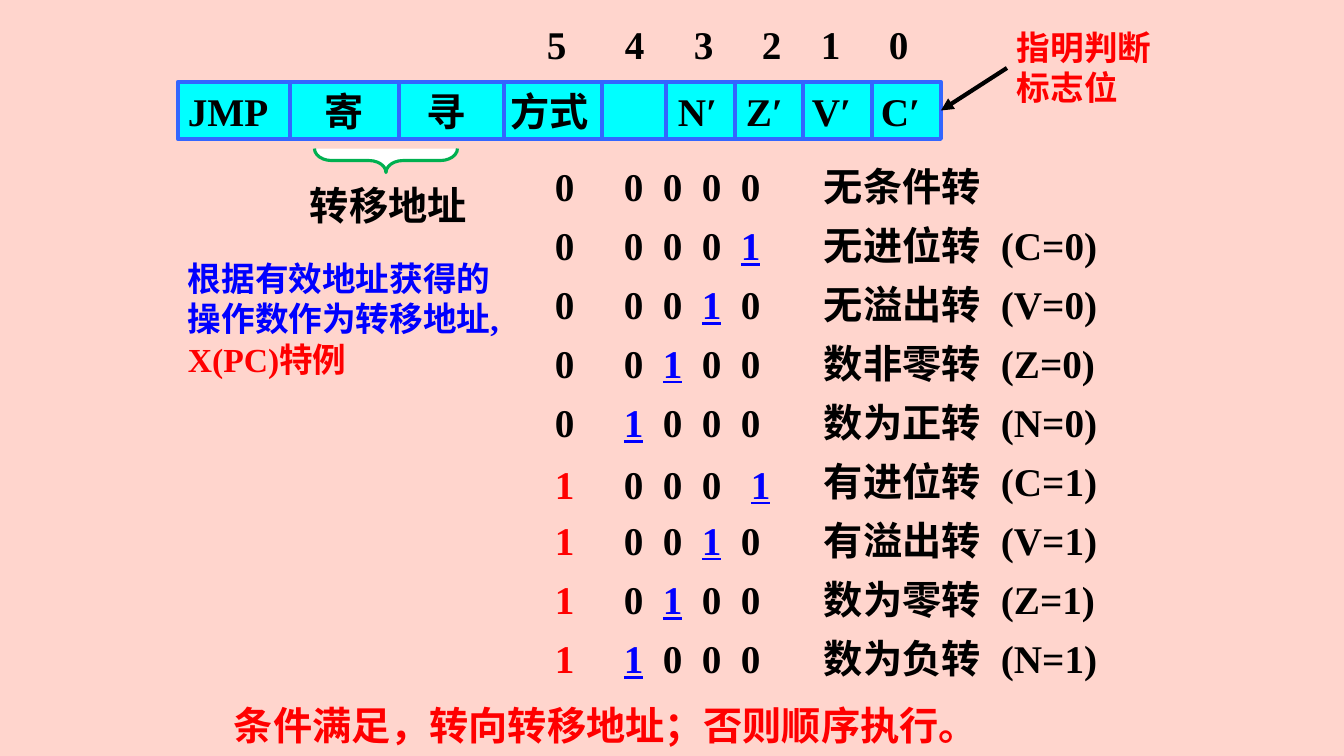
"""Build the JMP instruction format slide with its condition table."""
from dataclasses import dataclass

from lxml.etree import SubElement
from pptx import Presentation
from pptx.dml.color import RGBColor
from pptx.enum.shapes import MSO_CONNECTOR, MSO_SHAPE
from pptx.enum.text import MSO_ANCHOR, PP_ALIGN
from pptx.oxml.ns import qn
from pptx.util import Pt

BIT_NUMBERS = ["5", "4", "3", "2", "1", "0"]
BIT_NUMBER_TABS = [78, 147, 215, 274, 342]
FIELDS = ["JMP", "寄", "寻", "方式", "N′", "Z′", "V′", "C′"]
FIELD_TABS = [137, 239, 323, 490, 558, 624, 693]
DIVIDERS = [290, 399, 504, 602, 666, 735, 803, 872]
CONDITIONS = [
    ("00000", "无条件转", ""),
    ("00001", "无进位转", "(C=0)"),
    ("00010", "无溢出转", "(V=0)"),
    ("00100", "数非零转", "(Z=0)"),
    ("01000", "数为正转", "(N=0)"),
    ("10001", "有进位转", "(C=1)"),
    ("10010", "有溢出转", "(V=1)"),
    ("10100", "数为零转", "(Z=1)"),
    ("11000", "数为负转", "(N=1)"),
]
BIT_TABS = [69, 108, 147, 186]
CARRY_ROW = "10001"
CARRY_TABS = [69, 108, 147, 196]
CARRY_DROP = 3
ADDRESS = "转移地址"
ADDRESS_NOTE = ["根据有效地址获得的操作数作为转移地址,", "X(PC)特例"]
FLAG_NOTE = "指明判断标志位"
SUMMARY = "条件满足，转向转移地址；否则顺序执行。"

EMU_PER_PX = 914400 / 100.8
ROW_TOP, ROW_STEP, ROW_H = 157, 59, 57
BAR = (178, 82, 763, 57)


@dataclass(frozen=True)
class Theme:
    font: str = "Times New Roman"
    main: int = 28
    note: int = 24
    background: str = "FFD5CD"
    black: str = "000000"
    red: str = "FF0000"
    blue: str = "0000FF"
    bar_fill: str = "00FFFF"
    bar_line: str = "3366FF"
    brace_fill: str = "FFFFFF"
    brace_line: str = "00B050"


THEME = Theme()


def px(n):
    return round(n * EMU_PER_PX)


def rgb(colour):
    return RGBColor.from_string(colour)


def style(r, colour, size=THEME.main):
    r.font.name = THEME.font
    r.font.size = Pt(size)
    r.font.bold = True
    r.font.color.rgb = rgb(colour)


def set_tabs(p, tabs):
    tab_list = SubElement(p._p.get_or_add_pPr(), qn("a:tabLst"))
    for pos in tabs:
        SubElement(tab_list, qn("a:tab"), pos=str(px(pos)), algn="l")


def write(sp, text, colour=THEME.black, size=THEME.main, tabs=()):
    tf = sp.text_frame
    tf.word_wrap = True
    tf.vertical_anchor = MSO_ANCHOR.TOP
    tf.text = text
    for p in tf.paragraphs:
        p.alignment = PP_ALIGN.LEFT
        if tabs:
            set_tabs(p, tabs)
        for r in p.runs:
            style(r, colour, size)
    return sp


def text_box(s, box, text, *args, **kwargs):
    return write(s.shapes.add_textbox(*map(px, box)), text, *args, **kwargs)


def add_shape(shapes, kind, box, fill, line, width):
    sp = shapes.add_shape(kind, *map(px, box))
    sp.shadow.inherit = False
    sp.fill.solid()
    sp.fill.fore_color.rgb = rgb(fill)
    sp.line.color.rgb = rgb(line)
    sp.line.width = Pt(width)
    return sp


def add_line(shapes, start, end, colour):
    c = shapes.add_connector(MSO_CONNECTOR.STRAIGHT, *map(px, start + end))
    c.line.color.rgb = rgb(colour)
    c.line.width = Pt(3)
    SubElement(c._element.spPr, qn("a:effectLst"))
    return c


def add_bar(s):
    shapes = s.shapes.add_group_shape().shapes
    bar = add_shape(shapes, MSO_SHAPE.RECTANGLE, BAR, THEME.bar_fill, THEME.bar_line, 3)
    write(bar, "\t".join(FIELDS), tabs=FIELD_TABS)
    top, bottom = BAR[1], BAR[1] + BAR[3]
    for x in DIVIDERS:
        add_line(shapes, (x, top), (x, bottom), THEME.bar_line)
    return bar


def add_brace(s):
    brace = add_shape(s.shapes, MSO_SHAPE.LEFT_BRACE, (374, 89, 24, 143),
                      THEME.brace_fill, THEME.brace_line, 2.25)
    brace.rotation = 270
    brace.adjustments[0] = 0.71
    brace.adjustments[1] = 0.5


def add_bits(s, bits, y):
    is_carry = bits == CARRY_ROW
    box = (545, y + CARRY_DROP * is_carry, 428, ROW_H)
    p = text_box(s, box, "").text_frame.paragraphs[0]
    set_tabs(p, CARRY_TABS if is_carry else BIT_TABS)
    for i, char in enumerate("\t".join(bits)):
        r = p.add_run()
        r.text = char
        is_flag = char == "1" and i > 0
        style(r, THEME.blue if is_flag else THEME.red if char == "1" else THEME.black)
        r.font.underline = is_flag


def add_conditions(s):
    for i, (bits, meaning, test) in enumerate(CONDITIONS):
        y = ROW_TOP + i * ROW_STEP
        add_bits(s, bits, y)
        text_box(s, (814, y, 260, ROW_H), meaning)
        if test:
            text_box(s, (991, y, 151, ROW_H), test)


def add_flag_note(s, bar):
    note = text_box(s, (1007, 22, 167, 92), FLAG_NOTE, THEME.red, THEME.note)
    arrow = add_line(s.shapes, (1007, 68), (941, 110), THEME.black)
    arrow.begin_connect(note, 1)
    arrow.end_connect(bar, 3)
    SubElement(arrow.line._get_or_add_ln(), qn("a:tailEnd"), type="triangle")


def main():
    prs = Presentation()
    prs.slide_width, prs.slide_height = px(1344), px(756)
    s = prs.slides.add_slide(prs.slide_layouts[6])
    s.background.fill.solid()
    s.background.fill.fore_color.rgb = rgb(THEME.background)

    text_box(s, (537, 15, 420, ROW_H), "\t".join(BIT_NUMBERS), tabs=BIT_NUMBER_TABS)
    add_brace(s)
    bar = add_bar(s)
    text_box(s, (300, 176, 189, ROW_H), ADDRESS)
    add_conditions(s)
    text_box(s, (224, 696, 805, ROW_H), SUMMARY, THEME.red)
    note = text_box(s, (178, 253, 326, 132), "\n".join(ADDRESS_NOTE), THEME.blue, THEME.note)
    style(note.text_frame.paragraphs[1].runs[0], THEME.red, THEME.note)
    add_flag_note(s, bar)
    prs.save("out.pptx")


if __name__ == "__main__":
    main()
